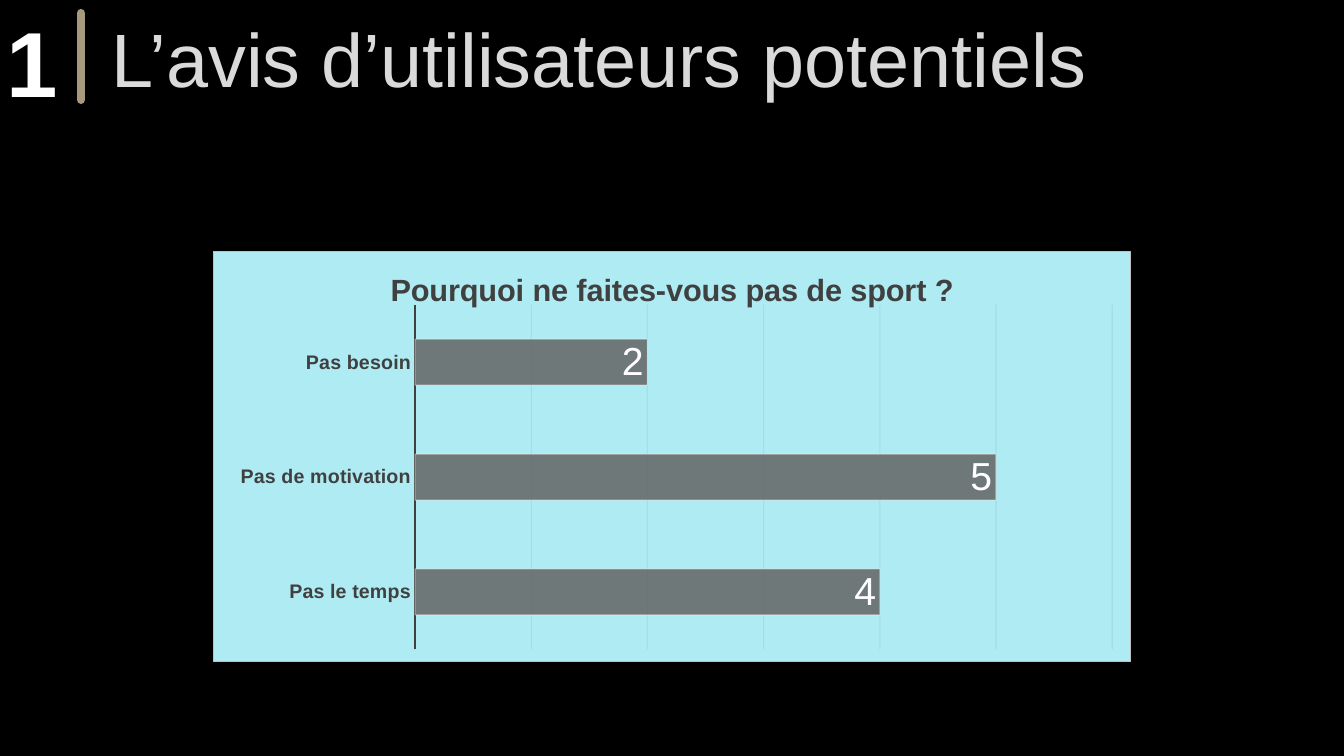
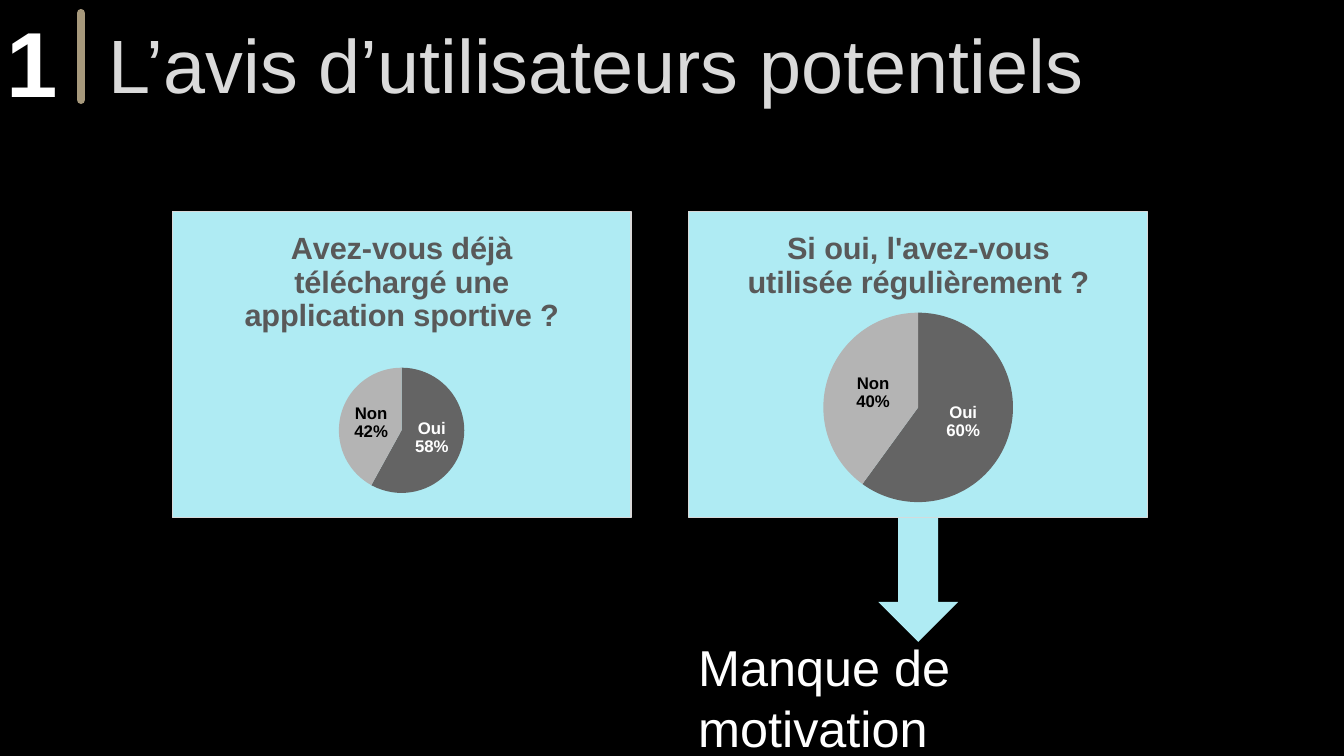
from dataclasses import dataclass

from lxml import etree
from pptx import Presentation
from pptx.chart.data import CategoryChartData
from pptx.dml.color import RGBColor
from pptx.enum.chart import XL_CHART_TYPE, XL_LABEL_POSITION, XL_TICK_LABEL_POSITION, XL_TICK_MARK
from pptx.enum.shapes import MSO_CONNECTOR, MSO_SHAPE
from pptx.enum.text import MSO_ANCHOR
from pptx.oxml import parse_xml
from pptx.oxml.ns import nsdecls, qn
from pptx.util import Pt


@dataclass(frozen=True)
class Theme:
    font: str = "Arial"
    background: str = "000000"
    title: str = "DADADA"
    white: str = "FFFFFF"
    rule: str = "A7997C"
    panel: str = "AFEBF3"
    bar_border: str = "BFBFBF"
    pie_border: str = "D9D9D9"
    axis: str = "404040"
    grid: str = "0D0D0D"
    pie_title: str = "595959"
    series: tuple = ("646464", "B4B4B4", "8C8C8C")
    pie_labels: tuple = ("FFFFFF", "000000")
    title_size: int = 54
    number_size: int = 66
    note_size: int = 36
    value_size: int = 28
    chart_title_size: int = 22
    category_size: int = 14
    pie_label_size: int = 12
    chart_size: int = 10


THEME = Theme()
TITLE = "L’avis d’utilisateurs potentiels"


@dataclass(frozen=True)
class Box:
    left: float
    top: float
    width: float
    height: float

    def lengths(self):
        return Pt(self.left), Pt(self.top), Pt(self.width), Pt(self.height)


def style_font(font, size, color, bold=False):
    font.name = THEME.font
    font.size = Pt(size)
    font.bold = bold
    font.color.rgb = RGBColor.from_string(color)


def color_fill(fill, color, percent=100):
    fill.solid()
    fill.fore_color.rgb = RGBColor.from_string(color)
    if percent < 100:
        color_element = fill._xPr.find(".//" + qn("a:srgbClr"))
        etree.SubElement(color_element, qn("a:alpha")).set("val", str(percent * 1000))


def color_line(line, color, width, percent=100):
    line.width = Pt(width)
    color_fill(line.fill, color, percent)


def add_text(slide, box, text, size, color, bold=False, anchor=MSO_ANCHOR.TOP):
    frame = slide.shapes.add_textbox(*box.lengths()).text_frame
    frame.word_wrap = True
    frame.vertical_anchor = anchor
    paragraph = frame.paragraphs[0]
    paragraph.text = text
    style_font(paragraph.font, size, color, bold)


def add_header(slide, number, title_box):
    add_text(slide, title_box, TITLE, THEME.title_size, THEME.title, anchor=MSO_ANCHOR.MIDDLE)
    rule = slide.shapes.add_connector(MSO_CONNECTOR.STRAIGHT, Pt(57.8), Pt(9.4), Pt(57.8), Pt(71.3))
    color_line(rule.line, THEME.rule, 6)
    properties = rule._element.spPr
    properties.find(qn("a:ln")).set("cap", "rnd")
    etree.SubElement(properties, qn("a:effectLst"))
    add_text(slide, Box(-2.5, 0, 45.4, 87), number, THEME.number_size, THEME.white, bold=True)


def add_panel_chart(slide, box, kind, data, title, title_color, border, layout):
    chart = slide.shapes.add_chart(kind, *box.lengths(), data).chart
    chart.has_legend = False
    style_font(chart.font, THEME.chart_size, THEME.white)
    chart.has_title = True
    chart.chart_title.include_in_layout = False
    paragraph = chart.chart_title.text_frame.paragraphs[0]
    paragraph.text = title
    style_font(paragraph.font, THEME.chart_title_size, title_color, bold=True)
    chart.element.find(qn("c:chart")).addnext(parse_xml(
        f'<c:spPr {nsdecls("c", "a")}><a:solidFill><a:srgbClr val="{THEME.panel}"/></a:solidFill>'
        f'<a:ln w="9525"><a:solidFill><a:srgbClr val="{border}"/></a:solidFill></a:ln></c:spPr>'))
    set_plot_layout(chart, layout)
    return chart


def set_plot_layout(chart, layout):
    plot_area = chart.element.find(".//" + qn("c:plotArea"))
    for previous in plot_area.findall(qn("c:layout")):
        plot_area.remove(previous)
    settings = [("layoutTarget", "inner"), ("xMode", "edge"), ("yMode", "edge")]
    settings += zip("xywh", layout)
    children = "".join(f'<c:{name} val="{value}"/>' for name, value in settings)
    plot_area.insert(0, parse_xml(
        f'<c:layout {nsdecls("c")}><c:manualLayout>{children}</c:manualLayout></c:layout>'))


def add_reason_chart(slide, box):
    data = CategoryChartData()
    data.categories = ["Pas le temps", "Pas de motivation", "Pas besoin"]
    for name, values in (("Series 1", (4, 5, 2)), ("Series 2", (0, 0, 0)), ("Series 3", (0, 0, 0))):
        data.add_series(name, values)
    chart = add_panel_chart(slide, box, XL_CHART_TYPE.BAR_STACKED, data,
                            "Pourquoi ne faites-vous pas de sport ?", THEME.axis,
                            THEME.bar_border, (0.22, 0.13, 0.76, 0.84))
    plot = chart.plots[0]
    plot.gap_width = 150
    plot.overlap = 100
    plot.vary_by_categories = False
    for series, color in zip(plot.series, THEME.series):
        color_fill(series.format.fill, color, 85)
        color_line(series.format.line, THEME.white, 0.75, 50)
    labels = plot.series[0].data_labels
    labels.show_value = True
    labels.position = XL_LABEL_POSITION.INSIDE_END
    style_font(labels.font, THEME.value_size, THEME.white)

    categories = chart.category_axis
    categories.major_tick_mark = XL_TICK_MARK.NONE
    categories.has_major_gridlines = False
    color_line(categories.format.line, THEME.axis, 1.5)
    style_font(categories.tick_labels.font, THEME.category_size, THEME.axis, bold=True)
    scale = chart.value_axis
    scale.minimum_scale, scale.maximum_scale, scale.major_unit = 0, 6, 1
    scale.tick_label_position = XL_TICK_LABEL_POSITION.NONE
    scale.major_tick_mark = XL_TICK_MARK.NONE
    scale.format.line.fill.background()
    color_line(scale.major_gridlines.format.line, THEME.grid, 0.75, 5)


def add_answer_pie(slide, box, question, values, layout):
    data = CategoryChartData()
    data.categories = ["Oui", "Non"]
    data.add_series(question, values)
    chart = add_panel_chart(slide, box, XL_CHART_TYPE.PIE, data, question,
                            THEME.pie_title, THEME.pie_border, layout)
    points = chart.plots[0].series[0].points
    for index, label_color in enumerate(THEME.pie_labels):
        color_fill(points[index].format.fill, THEME.series[index])
        label = points[index].data_label
        style_font(label.font, THEME.pie_label_size, label_color, bold=True)
        label.position = XL_LABEL_POSITION.CENTER
    for label in chart.element.iter(qn("c:dLbl"), qn("c:dLbls")):
        for flag, value in (("showVal", "0"), ("showCatName", "1"), ("showPercent", "1")):
            label.find(qn(f"c:{flag}")).set("val", value)
        separator = etree.Element(qn("c:separator"))
        separator.text = "\n"
        label.find(qn("c:showBubbleSize")).addnext(separator)


def add_conclusion(slide, panel, text):
    width = 57
    bottom = panel.top + panel.height
    arrow = slide.shapes.add_shape(
        MSO_SHAPE.DOWN_ARROW, Pt(panel.left + (panel.width - width) / 2),
        Pt(bottom), Pt(width), Pt(88.5))
    arrow.shadow.inherit = False
    color_fill(arrow.fill, THEME.panel)
    arrow.line.fill.background()
    add_text(slide, Box(panel.left, bottom + 81, 362, 88), text, THEME.note_size, THEME.white)


def new_slide(presentation):
    slide = presentation.slides.add_slide(presentation.slide_layouts[6])
    color_fill(slide.background.fill, THEME.background)
    return slide


def build_reason_slide(presentation):
    slide = new_slide(presentation)
    add_header(slide, "1", Box(72.7, -33, 751, 147.6))
    add_reason_chart(slide, Box(152, 179.3, 656, 293.8))


def build_usage_slide(presentation):
    slide = new_slide(presentation)
    add_header(slide, "1", Box(70.6, -28.8, 751, 147.6))
    download = Box(122.6, 151, 328.5, 219)
    usage = Box(download.left + 369, download.top, download.width, download.height)
    add_answer_pie(slide, download, "Avez-vous déjà téléchargé une application sportive ?",
                   (58, 42), (0.36, 0.51, 0.28, 0.41))
    add_answer_pie(slide, usage, "Si oui, l'avez-vous utilisée régulièrement ?",
                   (60, 40), (0.29, 0.33, 0.42, 0.62))
    add_conclusion(slide, usage, "Manque de motivation")


def main():
    presentation = Presentation()
    presentation.slide_width, presentation.slide_height = Pt(960), Pt(540)
    build_reason_slide(presentation)
    build_usage_slide(presentation)
    presentation.save("out.pptx")


if __name__ == "__main__":
    main()
